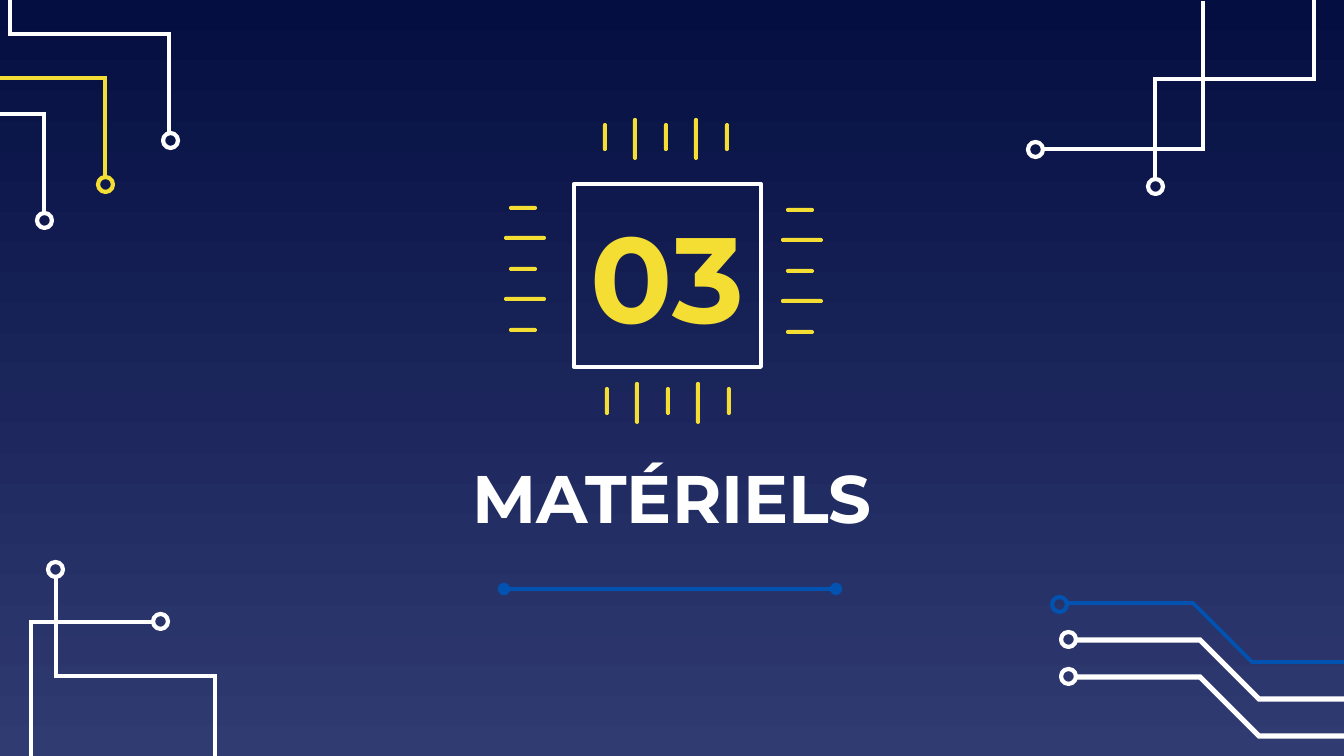
import lxml.etree
import pptx
import pptx.dml.color
import pptx.enum.shapes
import pptx.enum.text
import pptx.oxml.ns
import pptx.util

SCALE = 914400 / 134.4
WIDTH, HEIGHT = 1344, 756
FONT = "Montserrat"
COLORS = {
    "night": "040E41",
    "dusk": "303B72",
    "white": "FFFFFF",
    "yellow": "F5DE34",
    "blue": "0152B1",
}
TRACES = [
    ("blue", 2, (1059, 604), [(1068, 603), (1193, 603), (1252, 662), (WIDTH, 662)]),
    ("white", 2.75, (1068, 639), [(1075, 640), (1200, 640), (1259, 699), (WIDTH, 699)]),
    ("white", 2.75, (1068, 676), [(1075, 677), (1200, 677), (1259, 736), (WIDTH, 736)]),
    ("white", 2.25, (55, 569), [(56, 576), (56, 676), (215, 676), (215, HEIGHT)]),
    ("white", 2.25, (160, 621), [(152, 622), (31, 622), (31, HEIGHT)]),
    ("white", 2.25, (1035, 149), [(1042, 149), (1203, 149), (1203, 1)]),
    ("white", 2.25, (1155, 186), [(1155, 179), (1155, 79), (1314, 79), (1314, 0)]),
    ("white", 2.25, (44, 220), [(44, 213), (44, 114), (0, 114)]),
    ("yellow", 2.25, (105, 184), [(105, 178), (105, 78), (0, 78)]),
    ("white", 2.25, (170, 140), [(169, 134), (169, 34), (10, 34), (10, 0)]),
]


def px(*lengths):
    return [pptx.util.Emu(round(length * SCALE)) for length in lengths]


def rgb(color):
    return pptx.dml.color.RGBColor.from_string(COLORS[color])


def add_line_mark(line, tag, **attributes):
    mark = lxml.etree.SubElement(line._get_or_add_ln(), pptx.oxml.ns.qn(tag))
    for name, value in attributes.items():
        mark.set(name, value)


def set_outline(shape, color, weight):
    shape.shadow.inherit = False
    shape.fill.background()
    shape.line.color.rgb = rgb(color)
    shape.line.width = pptx.util.Pt(weight)


def paint_background(page):
    fill = page.background.fill
    fill.gradient()
    fill.gradient_angle = 270
    for stop, color in zip(fill.gradient_stops, ("night", "dusk")):
        stop.color.rgb = rgb(color)


def add_trace(page, color, weight, center, points):
    builder = page.shapes.build_freeform(*points[0], scale=SCALE)
    builder.add_line_segments(points[1:], close=False)
    trace = builder.convert_to_shape()
    set_outline(trace, color, weight)
    add_line_mark(trace.line, "a:miter", lim="800000")
    ring = page.shapes.add_shape(
        pptx.enum.shapes.MSO_SHAPE.OVAL, *px(center[0] - 7, center[1] - 7, 15, 15))
    set_outline(ring, color, 2.25)


def add_pin(page, left, top, width, height):
    pin = page.shapes.add_shape(
        pptx.enum.shapes.MSO_SHAPE.ROUNDED_RECTANGLE, *px(left, top, width, height))
    pin.adjustments[0] = 0.5
    pin.shadow.inherit = False
    pin.fill.solid()
    pin.fill.fore_color.rgb = rgb("yellow")
    pin.line.fill.background()


def add_pin_row(page, left, top, horizontal):
    for index in range(5):
        step = index * 61 // 2
        inset, length = (0, 42) if index % 2 else (5, 28)
        if horizontal:
            add_pin(page, left + inset, top + step, length, 4)
        else:
            add_pin(page, left + step, top + inset, 4, length)


def write_text(box, text, size, color):
    frame = box.text_frame
    frame.word_wrap = True
    frame.vertical_anchor = pptx.enum.text.MSO_ANCHOR.MIDDLE
    frame.margin_left = frame.margin_right = pptx.util.Inches(0.1)
    frame.margin_top = frame.margin_bottom = pptx.util.Inches(0.1)
    paragraph = frame.paragraphs[0]
    paragraph.text = text
    paragraph.alignment = pptx.enum.text.PP_ALIGN.CENTER
    paragraph.font.name = FONT
    paragraph.font.size = pptx.util.Pt(size)
    paragraph.font.bold = True
    paragraph.font.color.rgb = rgb(color)


def add_title(page):
    box = page.shapes.add_textbox(*px(360, 452, 624, 90))
    write_text(box, "MATÉRIELS", 36, "white")


def add_underline(page):
    underline = page.shapes.add_connector(
        pptx.enum.shapes.MSO_CONNECTOR.STRAIGHT, *px(504, 589, 836, 589))
    underline.line.color.rgb = rgb("blue")
    underline.line.width = pptx.util.Pt(2.25)
    add_line_mark(underline.line, "a:headEnd", type="oval")
    add_line_mark(underline.line, "a:tailEnd", type="oval")
    lxml.etree.SubElement(
        underline._element.spPr, pptx.oxml.ns.qn("a:effectLst"))


def add_chip(page):
    chip = page.shapes.add_shape(
        pptx.enum.shapes.MSO_SHAPE.RECTANGLE, *px(574, 184, 187, 183))
    set_outline(chip, "white", 2.25)
    write_text(chip, "03", 65, "yellow")
    add_pin_row(page, 504, 206, True)
    add_pin_row(page, 781, 208, True)
    add_pin_row(page, 603, 118, False)
    add_pin_row(page, 605, 382, False)


def main():
    deck = pptx.Presentation()
    deck.slide_width, deck.slide_height = px(WIDTH, HEIGHT)
    page = deck.slides.add_slide(deck.slide_layouts[6])
    paint_background(page)
    for trace in TRACES:
        add_trace(page, *trace)
    add_title(page)
    add_underline(page)
    add_chip(page)
    deck.save("out.pptx")


if __name__ == "__main__":
    main()
